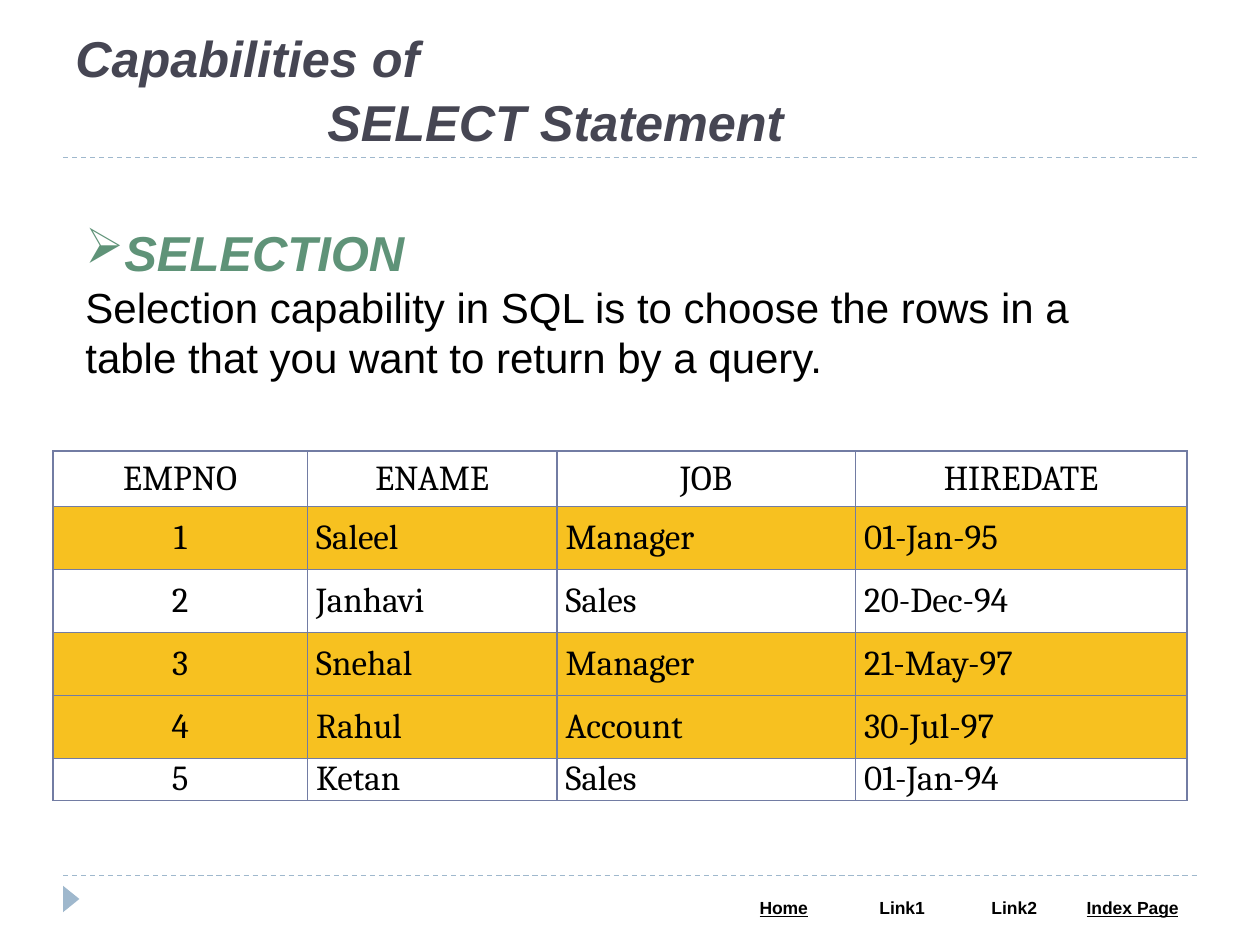
import pptx
import pptx.dml.color
import pptx.enum.dml
import pptx.enum.shapes
import pptx.enum.text
import pptx.oxml.ns
import pptx.util
from lxml import etree

Inches, Pt = pptx.util.Inches, pptx.util.Pt
ALIGN, ANCHOR = pptx.enum.text.PP_ALIGN, pptx.enum.text.MSO_ANCHOR
qn = pptx.oxml.ns.qn

COLORS = {"ink": "000000", "title": "464653", "heading": "5F9378", "accent": "9FB8CD",
          "grid": "727CA3", "picked": "F7C120", "paper": "FFFFFF"}

TITLE = ["Capabilities of", "SELECT Statement"]
HEADING = "SELECTION"
EXPLANATION = ("Selection capability in SQL is to choose the rows in a table "
               "that you want to return by a query.")
EMPLOYEES = [
    ("EMPNO", "ENAME", "JOB", "HIREDATE"),
    ("1", "Saleel", "Manager", "01-Jan-95"),
    ("2", "Janhavi", "Sales", "20-Dec-94"),
    ("3", "Snehal", "Manager", "21-May-97"),
    ("4", "Rahul", "Account", "30-Jul-97"),
    ("5", "Ketan", "Sales", "01-Jan-94"),
]
PICKED_ROWS = {1, 3, 4}
EMPLOYEE_COLUMNS = [2.02, 1.98, 2.37, 2.63]
EMPLOYEE_ROWS = [0.44, 0.5, 0.5, 0.5, 0.5, 0.33]
LINKS = ["Home", "Link1", "Link2", "Index Page"]
UNDERLINED_LINKS = {"Home", "Index Page"}
LINK_COLUMNS = [0.94, 0.94, 0.84, 1.04]
RULES_Y = [6.95, 1.25]


def rgb(name):
    return pptx.dml.color.RGBColor.from_string(COLORS[name])


def style(paragraph, size, color="ink", font="Arial", bold=False, italic=False):
    paragraph.font.size = Pt(size)
    paragraph.font.name = font
    paragraph.font.bold = bold
    paragraph.font.italic = italic
    paragraph.font.color.rgb = rgb(color)


def add_rule(slide, y):
    rule = slide.shapes.add_connector(pptx.enum.shapes.MSO_CONNECTOR.STRAIGHT,
                                      Inches(0.5), Inches(y), Inches(9.5), Inches(y))
    rule.line.color.rgb = rgb("accent")
    rule.line.width = Pt(0.75)
    rule.line.dash_style = pptx.enum.dml.MSO_LINE.DASH
    etree.SubElement(rule._element.spPr, qn("a:effectLst"))


def add_text(slide, left, top, width, height):
    frame = slide.shapes.add_textbox(Inches(left), Inches(top),
                                     Inches(width), Inches(height)).text_frame
    frame.word_wrap = True
    return frame


def add_grid(slide, left, top, columns, rows):
    """Add an unstyled table with the given column widths and row heights."""
    table = slide.shapes.add_table(len(rows), len(columns), Inches(left), Inches(top),
                                   Inches(sum(columns)), Inches(sum(rows))).table
    table.first_row = table.horz_banding = False
    for column, width in zip(table.columns, columns):
        column.width = Inches(width)
    for row, height in zip(table.rows, rows):
        row.height = Inches(height)
    return table


def set_borders(cell, color):
    properties = cell._tc.get_or_add_tcPr()
    for side in ("lnL", "lnR", "lnT", "lnB"):
        line = etree.SubElement(properties, qn(f"a:{side}"), w=str(Pt(1)))
        fill = etree.SubElement(line, qn("a:solidFill"))
        etree.SubElement(fill, qn("a:srgbClr"), val=COLORS[color])


def fill_cell(cell, color):
    cell.fill.solid()
    cell.fill.fore_color.rgb = rgb(color)


def add_footer(slide):
    table = add_grid(slide, 5.75, 7.08, LINK_COLUMNS, [0.27])
    for cell, link in zip(table.rows[0].cells, LINKS):
        cell.text = link
        label = cell.text_frame.paragraphs[0]
        label.alignment = ALIGN.CENTER
        style(label, 10, bold=True)
        label.font.underline = link in UNDERLINED_LINKS
        set_borders(cell, "paper")
        fill_cell(cell, "paper")

    marker = slide.shapes.add_shape(pptx.enum.shapes.MSO_SHAPE.ISOSCELES_TRIANGLE,
                                    Inches(0.46), Inches(7.07), Inches(0.21), Inches(0.13))
    marker.rotation = 90
    marker.shadow.inherit = False
    marker.fill.solid()
    marker.fill.fore_color.rgb = rgb("accent")
    marker.line.fill.background()


def add_title(slide):
    frame = add_text(slide, 0.5, 0.25, 9, 1)
    frame.vertical_anchor = ANCHOR.BOTTOM
    first, second = frame.paragraphs[0], frame.add_paragraph()
    for line, words in zip((first, second), TITLE):
        line.text = words
        style(line, 28.8, "title", bold=True, italic=True)
    second.space_before = Pt(2)
    second._p.get_or_add_pPr().set("marL", str(Inches(2)))


def add_body(slide):
    frame = add_text(slide, 0.58, 1.25, 8.67, 1.85)
    heading, explanation = frame.paragraphs[0], frame.add_paragraph()
    heading.text = HEADING
    heading.line_spacing = 2.0
    style(heading, 28, "heading", bold=True, italic=True)
    etree.SubElement(heading._p.pPr, qn("a:buChar"), char="➢")
    # The bullet belongs before the default run properties.
    heading._p.pPr.find(qn("a:defRPr")).addprevious(heading._p.pPr.find(qn("a:buChar")))
    explanation.text = EXPLANATION
    style(explanation, 24)


def add_employees(slide):
    table = add_grid(slide, 0.42, 3.58, EMPLOYEE_COLUMNS, EMPLOYEE_ROWS)
    for r, employee in enumerate(EMPLOYEES):
        for c, value in enumerate(employee):
            cell = table.cell(r, c)
            cell.text = value
            cell.vertical_anchor = ANCHOR.MIDDLE
            cell.margin_left = cell.margin_right = Inches(0.07)
            cell.margin_top = cell.margin_bottom = 0
            entry = cell.text_frame.paragraphs[0]
            entry.alignment = ALIGN.CENTER if r == 0 or c == 0 else ALIGN.LEFT
            style(entry, 20, font="Cambria")
            set_borders(cell, "grid")
            if r in PICKED_ROWS:
                fill_cell(cell, "picked")
            else:
                cell.fill.background()


def main():
    deck = pptx.Presentation()
    deck.slide_width, deck.slide_height = Inches(10), Inches(7.5)
    slide = deck.slides.add_slide(deck.slide_layouts[6])
    for y in RULES_Y:
        add_rule(slide, y)
    add_footer(slide)
    add_title(slide)
    add_body(slide)
    add_employees(slide)
    deck.save("out.pptx")


if __name__ == "__main__":
    main()
